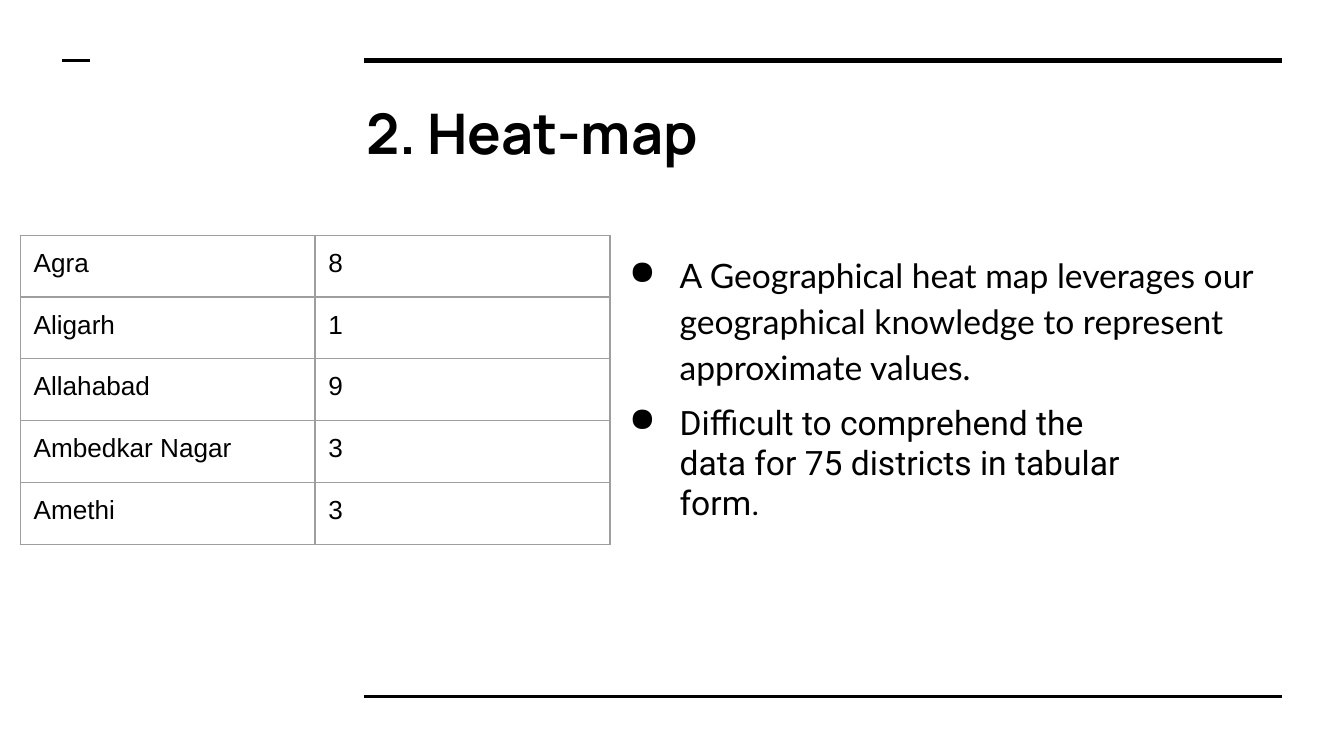
from pptx import Presentation
from pptx.dml.color import RGBColor as RGB
from pptx.enum.shapes import MSO_CONNECTOR as Conn
from pptx.enum.text import MSO_ANCHOR as Anchor
from pptx.oxml import parse_xml as to_xml
from pptx.oxml.ns import nsdecls
from pptx.util import Pt

BLACK = RGB(0x00, 0x00, 0x00)
GREY = RGB(0x9E, 0x9E, 0x9E)
NS = nsdecls("a")
INSET = 7.2

TITLE = dict(name="Manrope", size=Pt(30), bold=True)
BODY = dict(name="Lato", size=Pt(18))
NOTE = dict(name="Roboto", size=Pt(18))
CELL = dict(name="Arial", size=Pt(14))


class Page:
    """Holds the slide and its style."""

    def __init__(self, slide, ink, edge):
        self.shapes = slide.shapes
        self.ink = ink
        self.edge = edge

    def rule(self, left, right, top, width):
        line = self.shapes.add_connector(
            Conn.STRAIGHT, Pt(left), Pt(top), Pt(right), Pt(top))
        line.line.color.rgb = self.ink
        line.line.width = Pt(width)
        line._element.spPr.append(to_xml(f"<a:effectLst {NS}/>"))

    def label(self, para, text, font):
        run = para.add_run()
        run.text = text
        for key, value in font.items():
            setattr(run.font, key, value)
        run.font.color.rgb = self.ink

    def inset(self, item):
        for side in ("left", "right", "top", "bottom"):
            setattr(item, f"margin_{side}", Pt(INSET))

    def text(self, box, text, font, bullet=False, space=1.0):
        frame = self.shapes.add_textbox(*map(Pt, box)).text_frame
        frame.word_wrap = True
        self.inset(frame)
        para = frame.paragraphs[0]
        para.line_spacing = space
        if bullet:
            self.bullet(para)
        self.label(para, text, font)

    def bullet(self, para):
        props = para._p.get_or_add_pPr()
        props.set("marL", str(Pt(36)))
        props.set("indent", str(Pt(-27)))
        for part in (f'<a:buClr {NS}><a:srgbClr val="{self.ink}"/></a:buClr>',
                     f'<a:buChar {NS} char="●"/>'):
            props.append(to_xml(part))

    def table(self, box, rows, font):
        grid = self.shapes.add_table(
            len(rows), len(rows[0]), *map(Pt, box)).table
        grid.first_row = grid.horz_banding = False
        for r, row in enumerate(rows):
            for c, text in enumerate(row):
                self.cell(grid.cell(r, c), text, font)

    def cell(self, cell, text, font):
        self.inset(cell)
        cell.vertical_anchor = Anchor.TOP
        cell.fill.background()
        self.label(cell.text_frame.paragraphs[0], text, font)
        props = cell._tc.get_or_add_tcPr()
        # Borders come before the fill
        for i, side in enumerate("LRTB"):
            props.insert(i, to_xml(
                f'<a:ln{side} {NS} w="{Pt(0.75)}"><a:solidFill>'
                f'<a:srgbClr val="{self.edge}"/></a:solidFill></a:ln{side}>'))


def main():
    deck = Presentation()
    deck.slide_width, deck.slide_height = Pt(720), Pt(405)
    page = Page(deck.slides.add_slide(deck.slide_layouts[6]), BLACK, GREY)

    # Frame rules
    page.rule(195, 687, 32.5, 3)
    page.rule(195, 687, 373, 1.5)
    page.rule(33.5, 48, 32.5, 1.5)

    # Title and first point
    page.text((189, 45.5, 497.5, 49.5), "2. Heat-map", TITLE)
    page.text((321, 126, 366.5, 236),
              "A Geographical heat map leverages our geographical knowledge "
              "to represent approximate values.", BODY, True, 1.15)

    # Districts
    page.table((10.8, 126, 316, 165.6),
               [("Agra", "8"), ("Aligarh", "1"), ("Allahabad", "9"),
                ("Ambedkar Nagar", "3"), ("Amethi", "3")], CELL)

    # Second point
    page.text((321, 208, 294.5, 165.6),
              "Difficult to comprehend the data for 75 districts in tabular "
              "form.", NOTE, True)

    deck.save("out.pptx")


if __name__ == "__main__":
    main()
